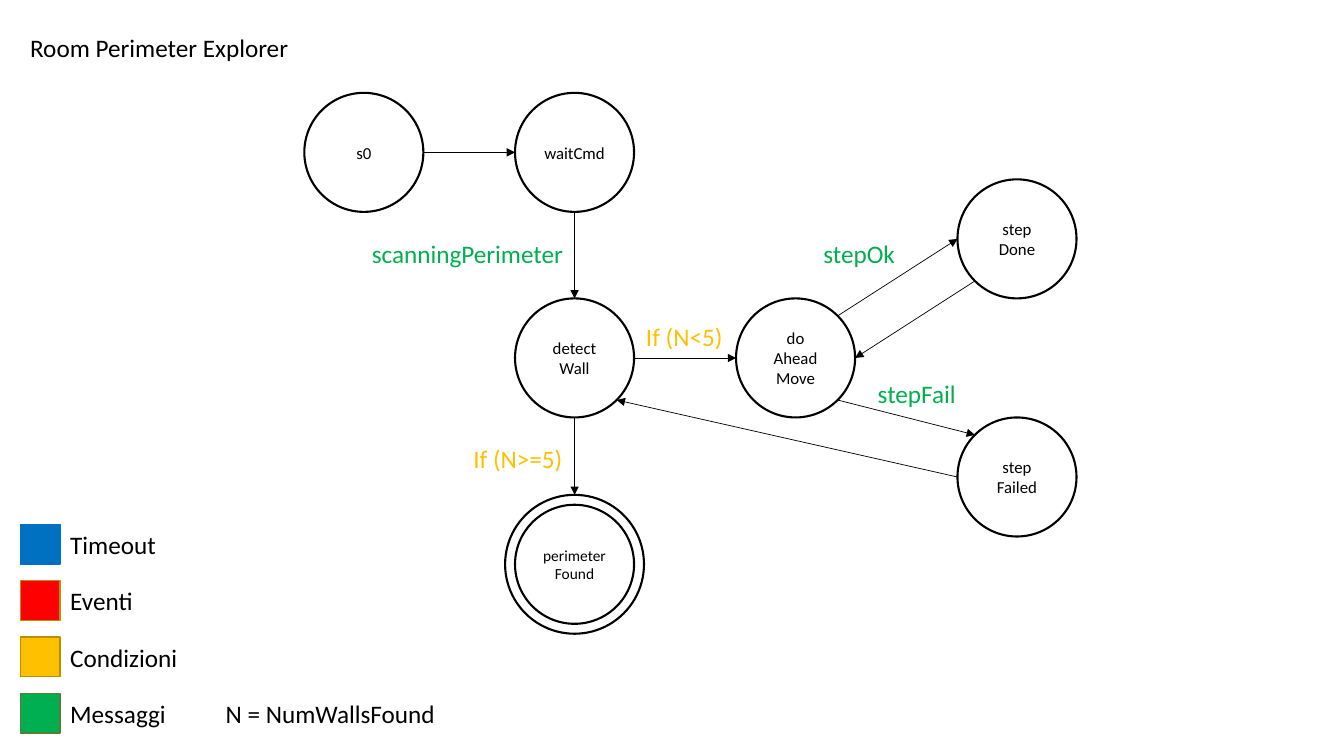
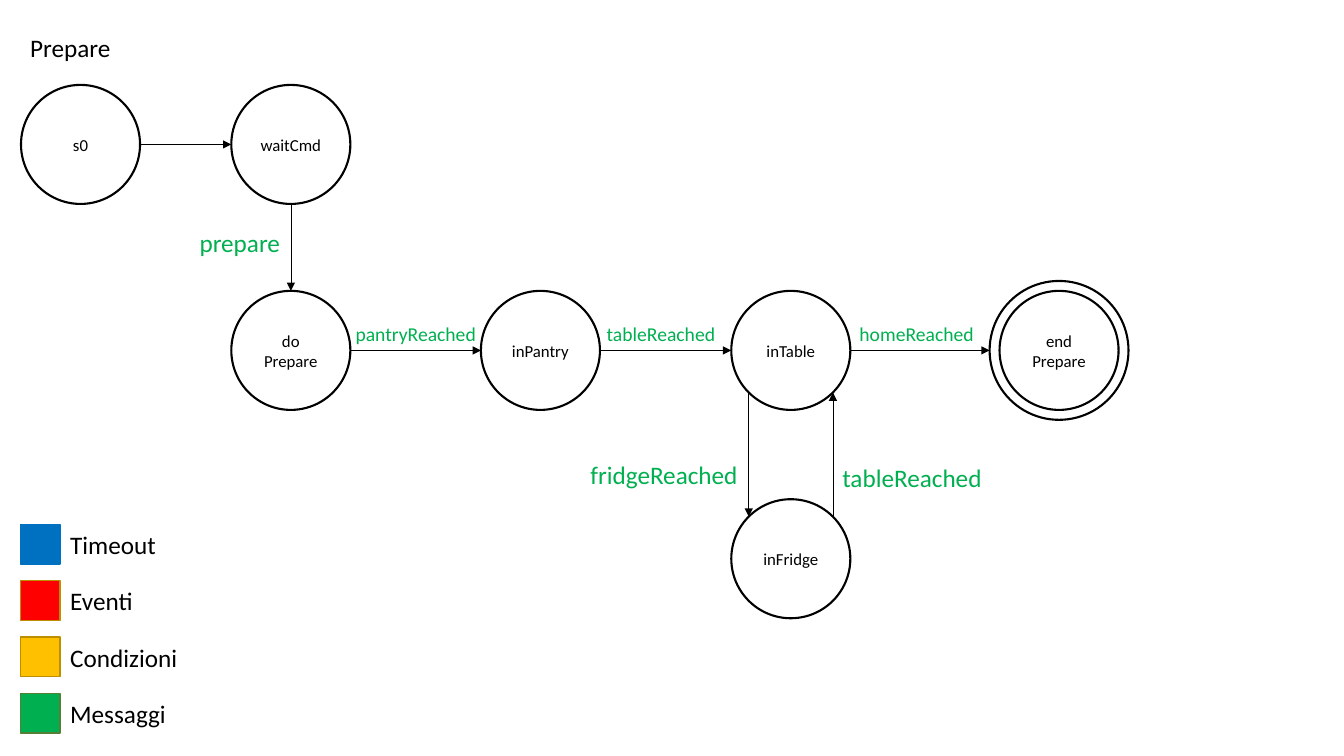
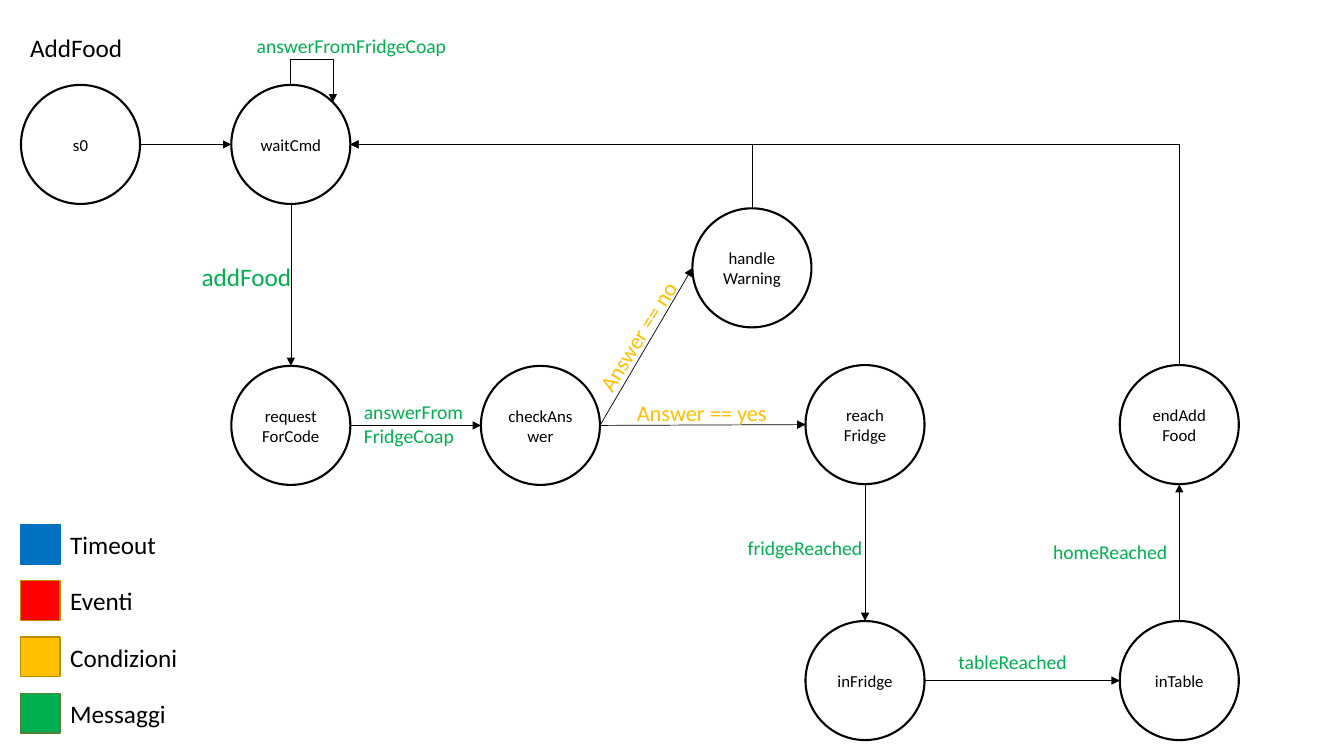
from math import cos, radians, sin

from lxml.etree import SubElement
from pptx import Presentation
from pptx.dml.color import RGBColor
from pptx.enum.shapes import MSO_CONNECTOR, MSO_SHAPE
from pptx.enum.text import MSO_ANCHOR, MSO_AUTO_SIZE, PP_ALIGN
from pptx.oxml.ns import qn
from pptx.util import Cm, Pt

BLACK, WHITE = "000000", "FFFFFF"
BLUE, RED, AMBER, GREEN = "0070C0", "FF0000", "FFC000", "00B050"
STATE_RADIUS, FINAL_RADIUS = 1.5, 1.75

# Connection sites of an ellipse, counterclockwise from the top
SITES = ["top", "top left", "left", "bottom left",
         "bottom", "bottom right", "right", "top right"]

LEGEND = [  # text, text box width, fill, outline
    ("Timeout", 2.69, BLUE, BLUE),
    ("Eventi", 2.11, RED, "BD8E00"),
    ("Condizioni", 3.25, AMBER, "BD8E00"),
    ("Messaggi", 2.95, GREEN, "538035"),
]

# states: name -> centre x, centre y, text, text size
# arrows: from state, site, to state, site
# elbows: the same, with the tip at the first state
# labels: text, left, top, width, size, colour, rotation
START = {"s0": (2.03, 3.64, "s0", 12), "wait": (7.33, 3.64, "waitCmd", 12)}
DIAGRAMS = [
    {
        "title": ("Room Perimeter Explorer", 7.24),
        "states": {
            "s0": (9.17, 3.84, "s0", 12),
            "wait": (14.48, 3.84, "waitCmd", 12),
            "detect": (14.48, 9.02, "detect\nWall", 12),
            "move": (20.05, 9.02, "do Ahead Move", 12),
            "done": (25.63, 6.02, "step Done", 12),
            "failed": (25.63, 12.02, "step Failed", 12),
            "found": (14.48, 14.22, "perimeterFound", 11),
        },
        "final": "found",
        "arrows": [
            ("s0", "right", "wait", "left"),
            ("wait", "bottom", "detect", "top"),
            ("detect", "bottom", "found", "top"),
            ("detect", "right", "move", "left"),
            ("move", "top right", "done", "left"),
            ("move", "bottom right", "failed", "top left"),
            ("done", "bottom left", "move", "right"),
            ("failed", "left", "detect", "bottom right"),
        ],
        "elbows": [],
        "labels": [
            ("scanningPerimeter", 9.12, 5.89, 5.38, 18, GREEN, 0),
            ("If (N>=5)", 11.68, 11.05, 2.79, 18, AMBER, 0),
            ("If (N<5)", 16.03, 7.98, 2.46, 18, AMBER, 0),
            ("stepOk", 20.5, 5.87, 2.34, 18, GREEN, 0),
            ("stepFail", 21.87, 9.4, 2.49, 18, GREEN, 0),
            ("N = NumWallsFound", 5.44, 17.48, 5.84, 18, BLACK, 0),
        ],
    },
    {
        "title": ("Prepare", 2.57),
        "states": START | {
            "prepare": (7.33, 8.83, "do\nPrepare", 12),
            "pantry": (13.62, 8.83, "inPantry", 12),
            "table": (19.93, 8.83, "inTable", 12),
            "fridge": (19.93, 14.08, "inFridge", 12),
            "end": (26.69, 8.83, "end Prepare", 12),
        },
        "final": "end",
        "arrows": [
            ("s0", "right", "wait", "left"),
            ("wait", "bottom", "prepare", "top"),
            ("prepare", "right", "pantry", "left"),
            ("pantry", "right", "table", "left"),
            ("table", "bottom left", "fridge", "top left"),
            ("fridge", "top right", "table", "bottom right"),
            ("table", "right", "end", "left"),
        ],
        "elbows": [],
        "labels": [
            ("prepare", 4.78, 5.61, 2.57, 18, GREEN, 0),
            ("pantryReached", 8.71, 7.98, 3.58, 14, GREEN, 0),
            ("tableReached", 15.04, 7.98, 3.28, 14, GREEN, 0),
            ("fridgeReached", 14.63, 11.46, 4.27, 18, GREEN, 0),
            ("tableReached", 20.98, 11.53, 4.06, 18, GREEN, 0),
            ("homeReached", 21.41, 7.98, 3.43, 14, GREEN, 0),
        ],
    },
    {
        "title": ("AddFood", 2.87),
        "states": START | {
            "request": (7.33, 10.72, "request ForCode", 12),
            "check": (13.62, 10.72, "checkAnswer", 12),
            "reach": (21.8, 10.7, "reach\nFridge", 12),
            "fridge": (21.8, 17.15, "inFridge", 12),
            "table": (29.72, 17.15, "inTable", 12),
            "end": (29.72, 10.7, "endAdd Food", 12),
            "warning": (18.95, 6.75, "handle Warning", 12),
        },
        "final": None,
        "arrows": [
            ("s0", "right", "wait", "left"),
            ("wait", "bottom", "request", "top"),
            ("request", "right", "check", "left"),
            ("check", "right", "reach", "left"),
            ("check", "right", "warning", "left"),
            ("reach", "bottom", "fridge", "top"),
            ("fridge", "right", "table", "left"),
            ("table", "top", "end", "bottom"),
        ],
        "elbows": [
            ("wait", "right", "end", "top"),
            ("wait", "right", "warning", "top"),
        ],
        "labels": [
            ("addFood", 4.83, 6.45, 2.79, 18, GREEN, 0),
            ("answerFrom\nFridgeCoap", 8.92, 9.96, 3.05, 14, GREEN, 0),
            ("fridgeReached", 18.59, 13.39, 3.43, 14, GREEN, 0),
            ("homeReached", 26.29, 13.49, 3.43, 14, GREEN, 0),
            ("tableReached", 23.9, 16.26, 3.28, 14, GREEN, 0),
            ("Answer == yes", 15.8, 9.93, 3.84, 16, AMBER, 0),
            ("Answer == no", 14.25, 7.98, 3.68, 16, AMBER, 302.1),
            ("answerFromFridgeCoap", 6.22, 0.74, 5.3, 14, GREEN, 0),
        ],
    },
]


def write(shape, text, size, colour, align=PP_ALIGN.LEFT):
    shape.text_frame.text = text
    for para in shape.text_frame.paragraphs:
        para.alignment = align
        para.font.name = "Calibri"
        para.font.size = Pt(size)
        para.font.color.rgb = RGBColor.from_string(colour)


def add_arrow(slide, rings, route, kind=MSO_CONNECTOR.STRAIGHT, tip="a:tailEnd"):
    """Join two states, each at a named connection site of its outer circle."""
    ends = []
    for name, site in (route[:2], route[2:]):
        ring, x, y, radius = rings[name]
        index = SITES.index(site)
        angle = radians(90 + 45 * index)
        ends.append((ring, index, Cm(x + radius * cos(angle)), Cm(y - radius * sin(angle))))
    connector = slide.shapes.add_connector(kind, *ends[0][2:], *ends[1][2:])
    connector.line.color.rgb = RGBColor.from_string(BLACK)
    connector.line.width = Pt(0.5)
    properties = connector.element.spPr
    SubElement(properties.find(qn("a:ln")), qn(tip), type="triangle")
    SubElement(properties, qn("a:effectLst"))
    joints = connector.element.find(".//" + qn("p:cNvCxnSpPr"))
    for tag, (ring, index, _, _) in zip(("a:stCxn", "a:endCxn"), ends):
        SubElement(joints, qn(tag), id=str(ring.shape_id), idx=str(index))
    return connector


deck = Presentation()
deck.slide_width, deck.slide_height = Cm(33.87), Cm(19.05)

for diagram in DIAGRAMS:
    slide = deck.slides.add_slide(deck.slide_layouts[6])

    rings = {}
    for name, (x, y, text, size) in diagram["states"].items():
        radii = [STATE_RADIUS]
        if name == diagram["final"]:
            radii.insert(0, FINAL_RADIUS)
        for radius in radii:
            circle = slide.shapes.add_shape(
                MSO_SHAPE.OVAL, Cm(x - radius), Cm(y - radius), Cm(2 * radius), Cm(2 * radius))
            circle.shadow.inherit = False
            circle.fill.solid()
            circle.fill.fore_color.rgb = RGBColor.from_string(WHITE)
            circle.line.color.rgb = RGBColor.from_string(BLACK)
            circle.line.width = Pt(1.5)
            rings.setdefault(name, (circle, x, y, radius))
        circle.text_frame.vertical_anchor = MSO_ANCHOR.MIDDLE
        write(circle, text, size, BLACK, PP_ALIGN.CENTER)

    for route in diagram["arrows"]:
        add_arrow(slide, rings, route)
    for route in diagram["elbows"]:
        elbow = add_arrow(slide, rings, route, MSO_CONNECTOR.ELBOW, "a:headEnd")
        elbow.element.spPr.find(qn("a:prstGeom")).set("prst", "bentConnector2")

    title, title_width = diagram["title"]
    labels = [(title, 0.51, 0.69, title_width, 18, BLACK, 0)] + diagram["labels"]
    for row, (text, width, fill, outline) in enumerate(LEGEND):
        top = 13.21 + 1.42 * row
        swatch = slide.shapes.add_shape(MSO_SHAPE.RECTANGLE, Cm(0.51), Cm(top), Cm(1), Cm(1))
        swatch.shadow.inherit = False
        swatch.fill.solid()
        swatch.fill.fore_color.rgb = RGBColor.from_string(fill)
        swatch.line.color.rgb = RGBColor.from_string(outline)
        swatch.line.width = Pt(1)
        labels.append((text, 1.52, top, width, 18, BLACK, 0))

    for text, left, top, width, size, colour, rotation in labels:
        height = Pt(1.2 * size * len(text.splitlines())) + Cm(0.25)
        box = slide.shapes.add_textbox(Cm(left), Cm(top), Cm(width), height)
        box.rotation = rotation
        box.text_frame.word_wrap = False
        box.text_frame.auto_size = MSO_AUTO_SIZE.SHAPE_TO_FIT_TEXT
        write(box, text, size, colour)

# The last diagram's waiting state loops back to itself: up, right and down
loop = add_arrow(slide, rings, ("wait", "top", "wait", "top right"), MSO_CONNECTOR.ELBOW)
loop.left, loop.top, loop.width, loop.height = Cm(7.64), Cm(1.83), Cm(0.44), Cm(1.06)
frame = loop.element.spPr.find(qn("a:xfrm"))
frame.set("rot", "16200000")
frame.set("flipH", "1")
adjustments = loop.element.spPr.find(".//" + qn("a:avLst"))
SubElement(adjustments, qn("a:gd"), name="adj1", fmla="val -144000")

deck.save("out.pptx")
